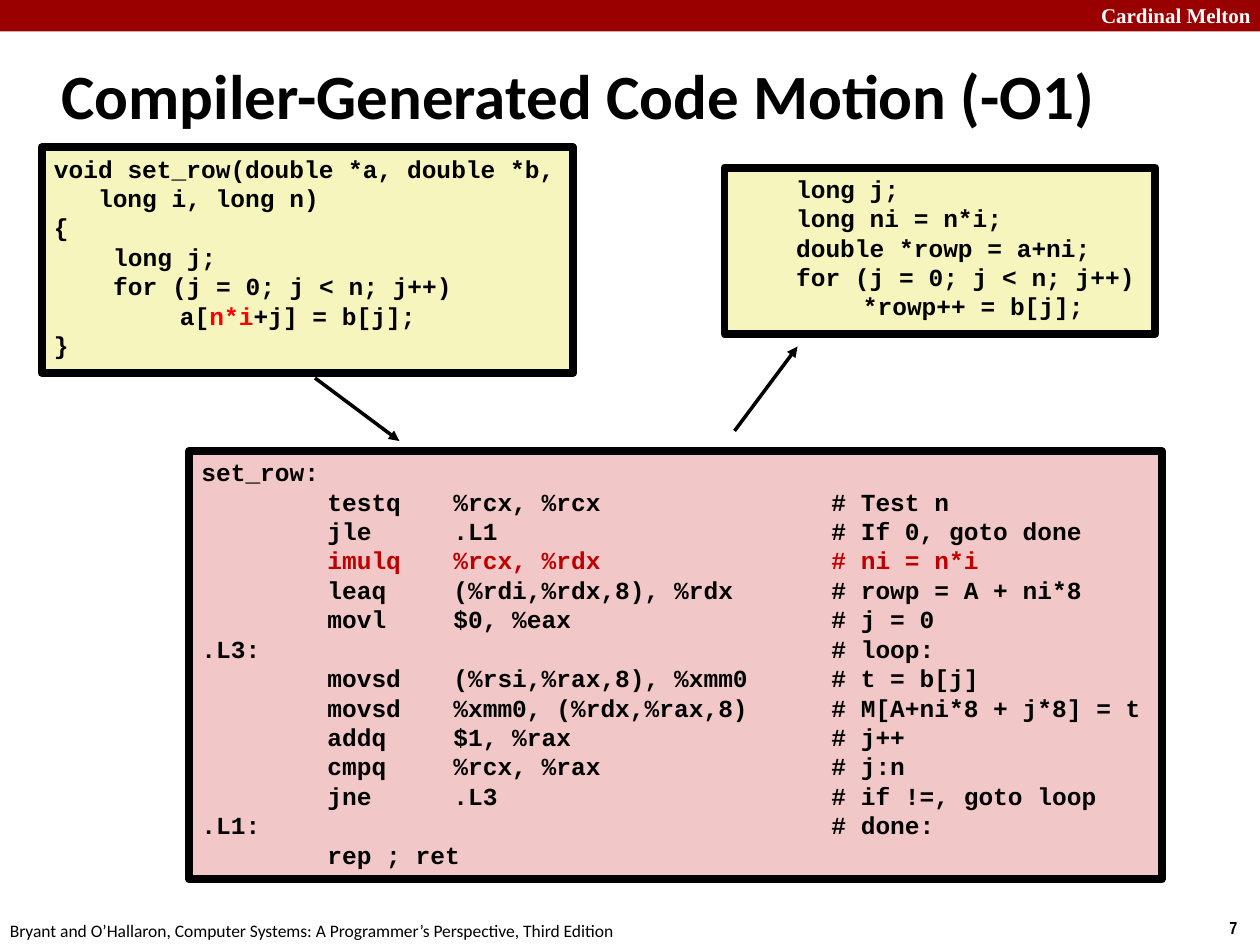
from dataclasses import dataclass

from lxml import etree
from pptx import Presentation
from pptx.dml.color import RGBColor
from pptx.enum.shapes import MSO_CONNECTOR, MSO_SHAPE
from pptx.enum.text import MSO_ANCHOR, PP_ALIGN
from pptx.oxml.ns import qn
from pptx.util import Inches, Pt

RECT, STRAIGHT = MSO_SHAPE.RECTANGLE, MSO_CONNECTOR.STRAIGHT
TOP, MIDDLE, LEFT = MSO_ANCHOR.TOP, MSO_ANCHOR.MIDDLE, PP_ALIGN.LEFT


@dataclass(frozen=True)
class Theme:
    """Colours, fonts and type sizes of the slide."""
    ink: str = "000000"
    paper: str = "FFFFFF"
    banner: str = "990000"
    source: str = "F6F5BD"
    assembly: str = "F1C7C7"
    hot: str = "FF0000"
    moved: str = "C00000"
    sans: str = "Calibri"
    narrow: str = "Arial Narrow"
    serif: str = "Times New Roman"
    mono: str = "Courier New"
    title: int = 36
    code: int = 14
    header: int = 12
    footer: int = 10
    border: float = 4.5
    arrow: int = 2


T = Theme()
HALF, FULL = 0.47, 1.0
TAB_STOPS = (1, 2, 5)

SET_ROW = [
    (0, [("void set_row(double *a, double *b,", T.ink)]),
    (0.35, [("long i, long n)", T.ink)]),
    (0, [("{", T.ink)]),
    (HALF, [("long j;", T.ink)]),
    (HALF, [("for (j = 0; j < n; j++)", T.ink)]),
    (FULL, [("a[", T.ink), ("n*i", T.hot), ("+j] = b[j];", T.ink)]),
    (0, [("}", T.ink)]),
]
MOVED_LOOP = [
    (HALF, [("long j;", T.ink)]),
    (HALF, [("long ni = n*i;", T.ink)]),
    (HALF, [("double *rowp = a+ni;", T.ink)]),
    (HALF, [("for (j = 0; j < n; j++)", T.ink)]),
    (FULL, [("*rowp++ = b[j];", T.ink)]),
]
ASSEMBLY = [
    ("set_row:",),
    ("", "testq", "%rcx, %rcx", "# Test n"),
    ("", "jle", ".L1", "# If 0, goto done"),
    ("", "imulq", "%rcx, %rdx", "# ni = n*i"),
    ("", "leaq", "(%rdi,%rdx,8), %rdx", "# rowp = A + ni*8"),
    ("", "movl", "$0, %eax", "# j = 0"),
    (".L3:", "", "", "# loop:"),
    ("", "movsd", "(%rsi,%rax,8), %xmm0", "# t = b[j]"),
    ("", "movsd", "%xmm0, (%rdx,%rax,8)", "# M[A+ni*8 + j*8] = t"),
    ("", "addq", "$1, %rax", "# j++"),
    ("", "cmpq", "%rcx, %rax", "# j:n"),
    ("", "jne", ".L3", "# if !=, goto loop"),
    (".L1:", "", "", "# done:"),
    ("", "rep ; ret"),
]


def add_run(p, text, color, **fmt):
    """Append a run with the given colour and font values."""
    r = p.add_run()
    r.text = text
    r.font.color.rgb = RGBColor.from_string(color)
    for name, value in fmt.items():
        setattr(r.font, name, value)


def add_label(s, box, text, color=T.ink, anchor=TOP, **fmt):
    """Place one line of plain text in the box."""
    tf = s.shapes.add_textbox(*map(Inches, box)).text_frame
    tf.word_wrap, tf.vertical_anchor = True, anchor
    add_run(tf.paragraphs[0], text, color, **fmt)


def add_panel(s, box, fill, border=0):
    """Draw a filled rectangle with an optional black border."""
    sp = s.shapes.add_shape(RECT, *map(Inches, box))
    sp.shadow.inherit = False
    sp.fill.solid()
    sp.fill.fore_color.rgb = RGBColor.from_string(fill)
    if border:
        sp.line.color.rgb = RGBColor.from_string(T.ink)
        sp.line.width = Pt(border)
    else:
        sp.line.fill.background()
    return sp


def set_tabs(p):
    """Give the paragraph the columns of the assembly listing."""
    tabs = etree.SubElement(p._p.get_or_add_pPr(), qn("a:tabLst"))
    for stop in TAB_STOPS:
        etree.SubElement(tabs, qn("a:tab"), pos=str(Inches(stop)), algn="l")


def add_code(s, box, fill, lines, tabbed=False):
    """Fill a bordered panel with lines of (indent, runs)."""
    tf = add_panel(s, box, fill, T.border).text_frame
    tf.word_wrap, tf.vertical_anchor = True, TOP
    for i, (indent, runs) in enumerate(lines):
        p = tf.add_paragraph() if i else tf.paragraphs[0]
        p.alignment = LEFT
        if indent:
            p._p.get_or_add_pPr().set("marL", str(Inches(indent)))
        if tabbed:
            set_tabs(p)
        for text, color in runs:
            add_run(p, text, color, name=T.mono, size=Pt(T.code), bold=True)


def add_assembly(s, box):
    """Place the assembly listing, with the moved multiply in red."""
    lines = [(0, [("\t".join(row), T.moved if "imulq" in row else T.ink)])
             for row in ASSEMBLY]
    add_code(s, box, T.assembly, lines, tabbed=True)


def add_arrow(s, start, end):
    """Draw a straight arrow from start to end."""
    c = s.shapes.add_connector(STRAIGHT, *map(Inches, start + end))
    c.line.color.rgb = RGBColor.from_string(T.ink)
    c.line.width = Pt(T.arrow)
    etree.SubElement(c.line._get_or_add_ln(), qn("a:tailEnd"), type="triangle")
    etree.SubElement(c._element.spPr, qn("a:effectLst"))


def add_frame(s, width, height):
    """Place the banner, footer and slide number along the slide edges."""
    add_panel(s, (0, 0, width, 0.25), T.banner)
    add_label(s, (width - 1.36, -0.03, 1.43, 0.3), "Cardinal Melton", T.paper,
              name=T.serif, size=Pt(T.header), bold=True)
    add_label(s, (width - 0.34, height - 0.27, 0.34, 0.27), "7",
              name=T.narrow, size=Pt(T.footer), bold=True)
    add_label(s, (-0.02, height - 0.25, 5.08, 0.27),
              "Bryant and O’Hallaron, Computer Systems: "
              "A Programmer’s Perspective, Third Edition",
              name=T.sans, size=Pt(T.footer))


def build():
    """Build and save the slide."""
    prs = Presentation()
    prs.slide_width, prs.slide_height = Inches(10), Inches(7.5)
    s = prs.slides.add_slide(prs.slide_layouts[6])
    add_frame(s, 10, 7.5)
    add_label(s, (0.39, 0.33, 8.83, 0.83),
              "Compiler-Generated Code Motion (-O1)", anchor=MIDDLE,
              name=T.sans, size=Pt(T.title), bold=True)
    add_assembly(s, (1.5, 3.58, 7.72, 3.4))
    add_arrow(s, (2.5, 3), (3.17, 3.5))
    add_arrow(s, (5.83, 3.42), (6.33, 2.75))
    add_code(s, (5.75, 1.33, 3.42, 1.32), T.source, MOVED_LOOP)
    add_code(s, (0.33, 1.17, 4.22, 1.79), T.source, SET_ROW)
    prs.save("out.pptx")


build()
